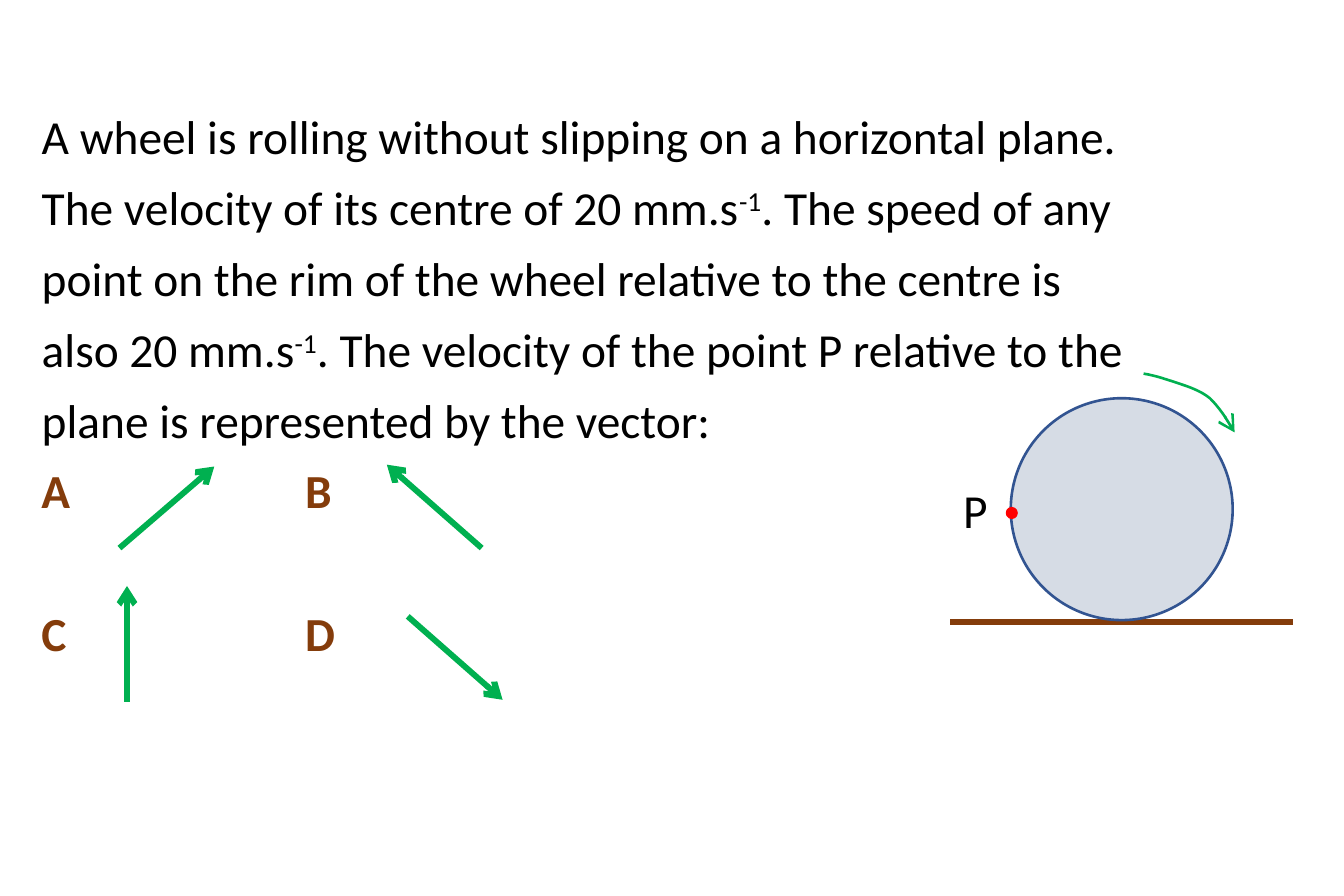
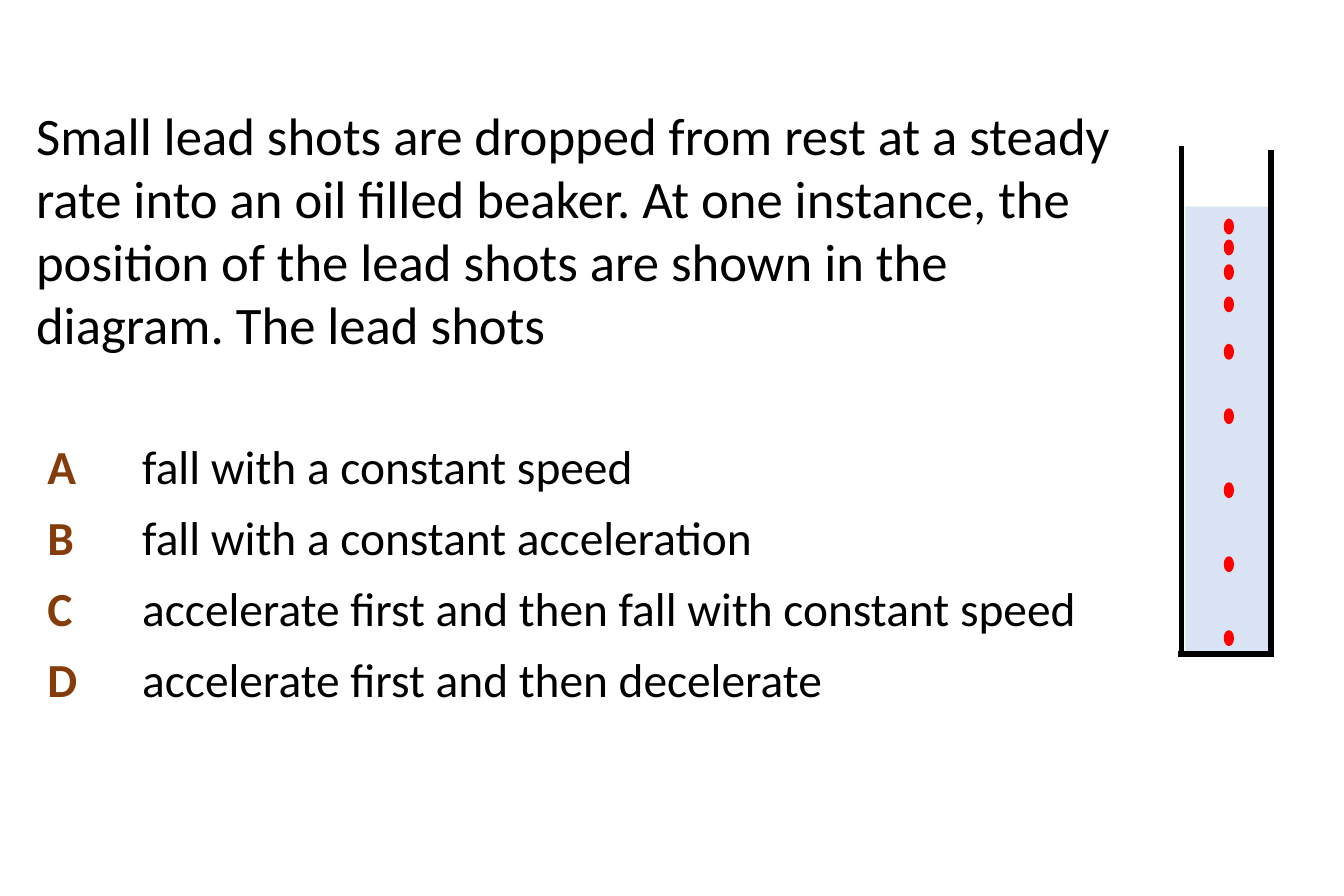
from itertools import accumulate
from pptx import Presentation
from pptx.dml.color import RGBColor
from pptx.enum.shapes import MSO_CONNECTOR, MSO_SHAPE
from pptx.enum.text import MSO_ANCHOR, MSO_AUTO_SIZE, PP_ALIGN
from pptx.oxml.ns import qn
from pptx.util import Inches, Pt
from lxml.etree import SubElement

COLORS = {
    "text": "000000", "option": "843C0B", "ground": "843C0B", "wheel": "D6DCE5",
    "rim": "325491", "dot": "FF0000", "arrow": "00B050", "oil": "DAE3F3", "glass": "000000",
}
FRAME = {"word_wrap": True, "auto_size": MSO_AUTO_SIZE.NONE, "vertical_anchor": MSO_ANCHOR.TOP,
         "margin_left": Inches(0.1), "margin_right": Inches(0.1),
         "margin_top": Inches(0.05), "margin_bottom": Inches(0.05)}
PARAGRAPH = {"alignment": PP_ALIGN.LEFT, "space_before": Pt(0), "space_after": Pt(0)}
CM_PER_INCH = 2.54


def apply(target, values):
    for name, value in values.items():
        setattr(target, name, value)


def place(part, box):
    apply(part, dict(zip(("left", "top", "width", "height"), map(Inches, box))))


def write(paragraph, text, size=18, color="text", bold=False):
    run = paragraph.add_run()
    run.text = text
    apply(run.font, {"name": "Calibri", "size": Pt(size), "bold": bold})
    run.font.color.rgb = RGBColor.from_string(COLORS[color])
    return run


def question(slide, box, pieces, size, spacing):
    title = slide.shapes.title
    place(title, box)
    apply(title.text_frame, FRAME)
    paragraph = title.text_frame.paragraphs[0]
    apply(paragraph, {**PARAGRAPH, "line_spacing": spacing})
    for index, piece in enumerate(pieces):
        run = write(paragraph, piece, size)
        if index % 2:
            run._r.get_or_add_rPr().set("baseline", "30000")


def options(holder, box, rows, tab, gap=0):
    place(holder, box)
    frame = holder.text_frame
    apply(frame, FRAME)
    for index, row in enumerate(rows):
        paragraph = frame.add_paragraph() if index else frame.paragraphs[0]
        apply(paragraph, {**PARAGRAPH, "line_spacing": 1.25, "space_after": Pt(gap)})
        properties = paragraph._p.get_or_add_pPr()
        if holder.is_placeholder:
            properties.set("marL", "0")
            properties.set("indent", "0")
            SubElement(properties, qn("a:buNone"))
        tabs = SubElement(properties, qn("a:tabLst"))
        SubElement(tabs, qn("a:tab"), pos=str(Inches(tab)), algn="l")
        for text, color in row:
            write(paragraph, text, color=color, bold=color == "option")


def stroke(part, color, width, arrow=False):
    part.line.color.rgb = RGBColor.from_string(COLORS[color])
    part.line.width = Pt(width)
    if arrow:
        SubElement(part.line._get_or_add_ln(), qn("a:tailEnd"), type="arrow")


def line(slide, start, end, color, arrow=False):
    connector = slide.shapes.add_connector(
        MSO_CONNECTOR.STRAIGHT, *map(Inches, (*start, *end)))
    stroke(connector, color, 2.25, arrow)
    SubElement(connector._element.spPr, qn("a:effectLst"))


def solid(slide, preset, box, fill, outline=None):
    shape = slide.shapes.add_shape(preset, *map(Inches, box))
    shape.shadow.inherit = False
    shape.fill.solid()
    shape.fill.fore_color.rgb = RGBColor.from_string(COLORS[fill])
    if outline:
        stroke(shape, outline, 1)
    else:
        shape.line.fill.background()


def bezier(p0, p1, p2, p3, steps=8):
    for step in range(1, steps + 1):
        t = step / steps
        weights = ((1 - t) ** 3, 3 * t * (1 - t) ** 2, 3 * t * t * (1 - t), t ** 3)
        yield tuple(sum(w * p[axis] for w, p in zip(weights, (p0, p1, p2, p3)))
                    for axis in (0, 1))


def rotation_arrow(slide, left, top):
    knots = [(0, 0), (0.06, 0.01), (0.12, 0.03), (0.18, 0.05), (0.24, 0.07),
             (0.3, 0.09), (0.35, 0.13), (0.4, 0.18), (0.44, 0.24), (0.48, 0.31)]
    points = [(Inches(left + x), Inches(top + y))
              for first in range(0, 9, 3) for x, y in bezier(*knots[first:first + 4])]
    builder = slide.shapes.build_freeform(Inches(left), Inches(top))
    builder.add_line_segments(points, close=False)
    curve = builder.convert_to_shape()
    curve.shadow.inherit = False
    curve.fill.background()
    stroke(curve, "arrow", 1, True)


def rolling_wheel(slide, box):
    left, top, width, height = box
    ground = top + height
    line(slide, (left, ground), (left + width, ground), "ground")
    solid(slide, MSO_SHAPE.OVAL, (left + 0.32, top + 0.11, 1.17, 1.17), "wheel", "rim")
    solid(slide, MSO_SHAPE.OVAL, (left + 0.3, top + 0.69, 0.05, 0.05), "dot", "dot")
    label = slide.shapes.add_textbox(*map(Inches, (left - 0.03, top + 0.5, 0.33, 0.4)))
    apply(label.text_frame, {**FRAME, "word_wrap": False})
    write(label.text_frame.paragraphs[0], "P")
    rotation_arrow(slide, left + 1.02, top - 0.02)


def vectors(slide, box):
    left, top = box[:2]
    for x, y, dx, dy in ((0, 0.44, 0.5, -0.43), (1.91, 0.44, -0.5, -0.44),
                         (0.04, 1.25, 0, -0.61), (1.52, 0.8, 0.5, 0.44)):
        start = left + x, top + y
        line(slide, start, (start[0] + dx, start[1] + dy), "arrow", True)


def beaker(slide, box):
    left, top, width, height = box
    right, bottom = left + width, top + height
    solid(slide, MSO_SHAPE.RECTANGLE, (left + 0.02, top + 0.32, 0.44, 2.37), "oil")
    line(slide, (left, top), (left, bottom - 0.01), "glass")
    line(slide, (right, top + 0.02), (right, bottom + 0.01), "glass")
    line(slide, (right + 0.02, bottom), (left - 0.02, bottom), "glass")
    gaps = (0.39, 0.11, 0.13, 0.17, 0.25, 0.34, 0.39, 0.39, 0.39)
    for depth in accumulate(gaps):
        solid(slide, MSO_SHAPE.OVAL, (left + 0.23, top + depth, 0.04, 0.07), "dot", "dot")


deck = Presentation()
apply(deck, {"slide_width": Inches(18 / CM_PER_INCH), "slide_height": Inches(12 / CM_PER_INCH)})
wheel_slide, beaker_slide = (deck.slides.add_slide(deck.slide_layouts[layout])
                             for layout in (5, 1))

question(wheel_slide, (0.12, 0.44, 6.04, 1.95), (
    "A wheel is rolling without slipping on a horizontal plane. "
    "The velocity of its centre of 20 mm.s", "-1",
    ". The speed of any point on the rim of the wheel relative to the centre is also 20 mm.s",
    "-1", ". The velocity of the point P relative to the plane is represented by the vector:",
), 18, 1.25)
vector_letters = wheel_slide.shapes.add_textbox(0, 0, 0, 0)
options(vector_letters, (0.12, 2.31, 6.04, 1.26),
        [[(pair, "option")] for pair in ("A\tB", "C\tD")], 1.39, 27)
rolling_wheel(wheel_slide, (5.01, 1.99, 1.81, 1.29))
vectors(wheel_slide, (0.63, 2.45, 2.02, 1.25))

question(beaker_slide, (0.09, 0.49, 6, 1.45), (
    "Small lead shots are dropped from rest at a steady rate into an oil filled beaker. "
    "At one instance, the position of the lead shots are shown in the diagram. The lead shots",
), 20, 1.0)
beaker(beaker_slide, (6.23, 0.77, 0.47, 2.68))
answers = ("fall with a constant speed", "fall with a constant acceleration",
           "accelerate first and then fall with constant speed",
           "accelerate first and then decelerate")
options(beaker_slide.placeholders[1], (0.15, 2.18, 5.96, 1.62),
        [[(letter, "option"), ("\t" + answer, "text")]
         for letter, answer in zip("ABCD", answers)], 0.48)

deck.save("out.pptx")
